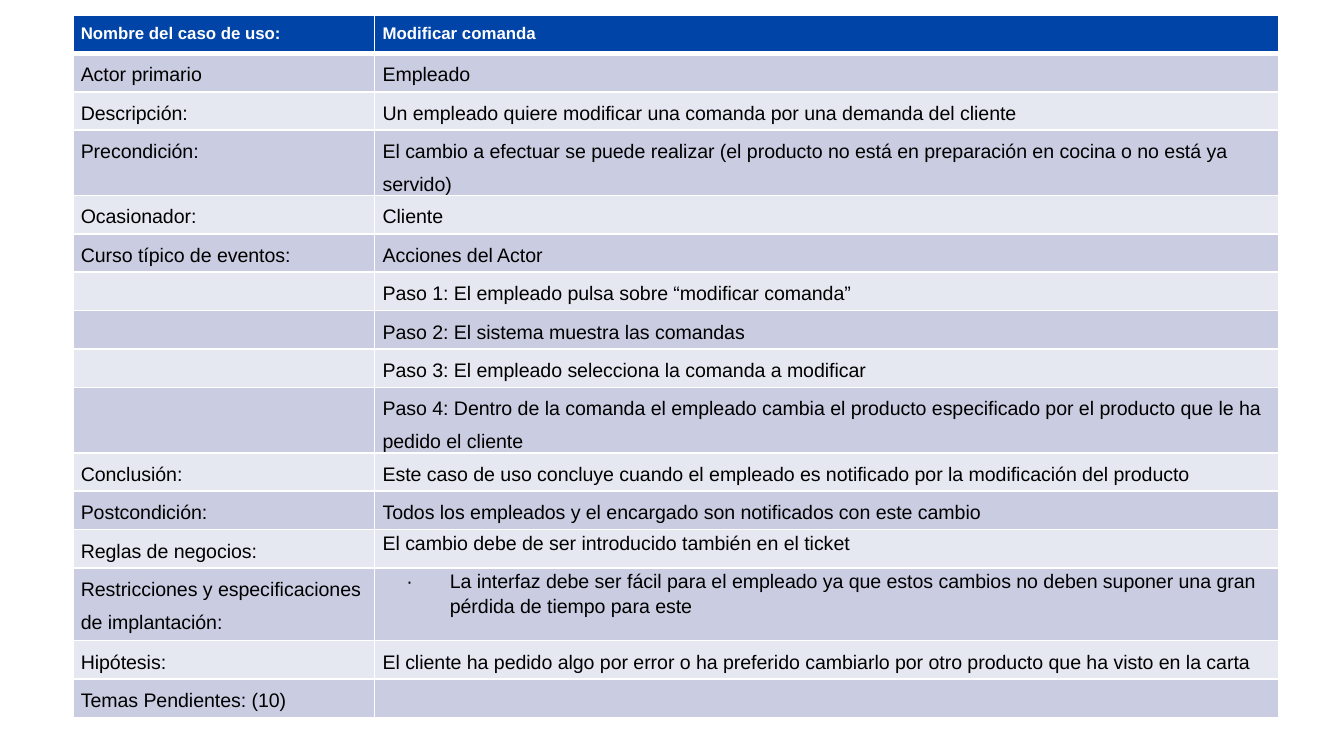
import pptx
import pptx.util
import pptx.dml.color
import pptx.oxml.ns
import lxml.etree

Pt = pptx.util.Pt
qn = pptx.oxml.ns.qn


def tint(code):
    return pptx.dml.color.RGBColor.from_string(code)


def add(node, tag, **attrs):
    return lxml.etree.SubElement(node, qn(tag), attrs)


HEAD, DARK, LIGHT = "0044A8", "CACDE1", "E6E8F1"
LOW, TWO, TALL = 20.6, 34.7, 39  # row heights

# Label, text, row height
rows = [
    ("Nombre del caso de uso:", "Modificar comanda", LOW),
    ("Actor primario", "Empleado", LOW),
    ("Descripción:", "Un empleado quiere modificar una comanda por una demanda del cliente", LOW),
    ("Precondición:", "El cambio a efectuar se puede realizar (el producto no está en "
     "preparación en cocina o no está ya servido)", TWO),
    ("Ocasionador:", "Cliente", LOW),
    ("Curso típico de eventos:", "Acciones del Actor", LOW),
    ("", "Paso 1: El empleado pulsa sobre “modificar comanda”", LOW),
    ("", "Paso 2: El sistema muestra las comandas", LOW),
    ("", "Paso 3: El empleado selecciona la comanda a modificar", LOW),
    ("", "Paso 4: Dentro de la comanda el empleado cambia el producto especificado "
     "por el producto que le ha pedido el cliente", TWO),
    ("Conclusión:", "Este caso de uso concluye cuando el empleado es notificado por la "
     "modificación del producto", LOW),
    ("Postcondición:", "Todos los empleados y el encargado son notificados con este cambio", LOW),
    ("Reglas de negocios:", "El cambio debe de ser introducido también en el ticket", LOW),
    ("Restricciones y especificaciones de implantación:",
     "La interfaz debe ser fácil para el empleado ya que estos cambios no deben "
     "suponer una gran pérdida de tiempo para este", TALL),
    ("Hipótesis:", "El cliente ha pedido algo por error o ha preferido cambiarlo por otro "
     "producto que ha visto en la carta", LOW),
    ("Temas Pendientes: (10)", "", LOW),
]
tight = ("Reglas de negocios:", "Restricciones y especificaciones de implantación:")

deck = pptx.Presentation()
deck.slide_width, deck.slide_height = Pt(720), Pt(405)
slide = deck.slides.add_slide(deck.slide_layouts[6])

# Use case table
wide = (161.7, 484.5)
high = sum(row[2] for row in rows)
table = slide.shapes.add_table(len(rows), 2, Pt(39), Pt(8), Pt(sum(wide)), Pt(high)).table
for col, size in zip(table.columns, wide):
    col.width = Pt(size)

for i, (label, text, size) in enumerate(rows):
    table.rows[i].height = Pt(size)
    for j, words in enumerate((label, text)):
        cell = table.cell(i, j)
        cell.margin_left = cell.margin_right = Pt(4.3)
        cell.margin_top = cell.margin_bottom = 0

        # White borders, thick under the header
        props = cell._tc.get_or_add_tcPr()
        for side in "LRTB":
            thick = (i, side) in ((0, "B"), (1, "T"))
            line = add(props, "a:ln" + side, w=str(Pt(3 if thick else 1)))
            add(add(line, "a:solidFill"), "a:srgbClr", val="FFFFFF")
        cell.fill.solid()
        cell.fill.fore_color.rgb = tint(HEAD if i == 0 else DARK if i % 2 else LIGHT)

        # Text
        para = cell.text_frame.paragraphs[0]
        para.line_spacing = 1.15 if j and label in tight else 1.5
        if not words:
            add(para._p, "a:endParaRPr", sz="1050")
            continue
        if j and label == tight[1]:
            style = para._p.get_or_add_pPr()
            style.set("marL", str(Pt(36)))
            style.set("indent", str(Pt(-23)))
            add(add(style, "a:buClr"), "a:srgbClr", val="000000")
            add(style, "a:buFont", typeface="Arial")
            add(style, "a:buChar", char="∙")
        run = para.add_run()
        run.text = words
        run.font.name = "Arial"
        run.font.size = Pt(10.5 if i else 9)
        run.font.bold = i == 0
        run.font.color.rgb = tint("000000" if i else "FFFFFF")

deck.save("out.pptx")
